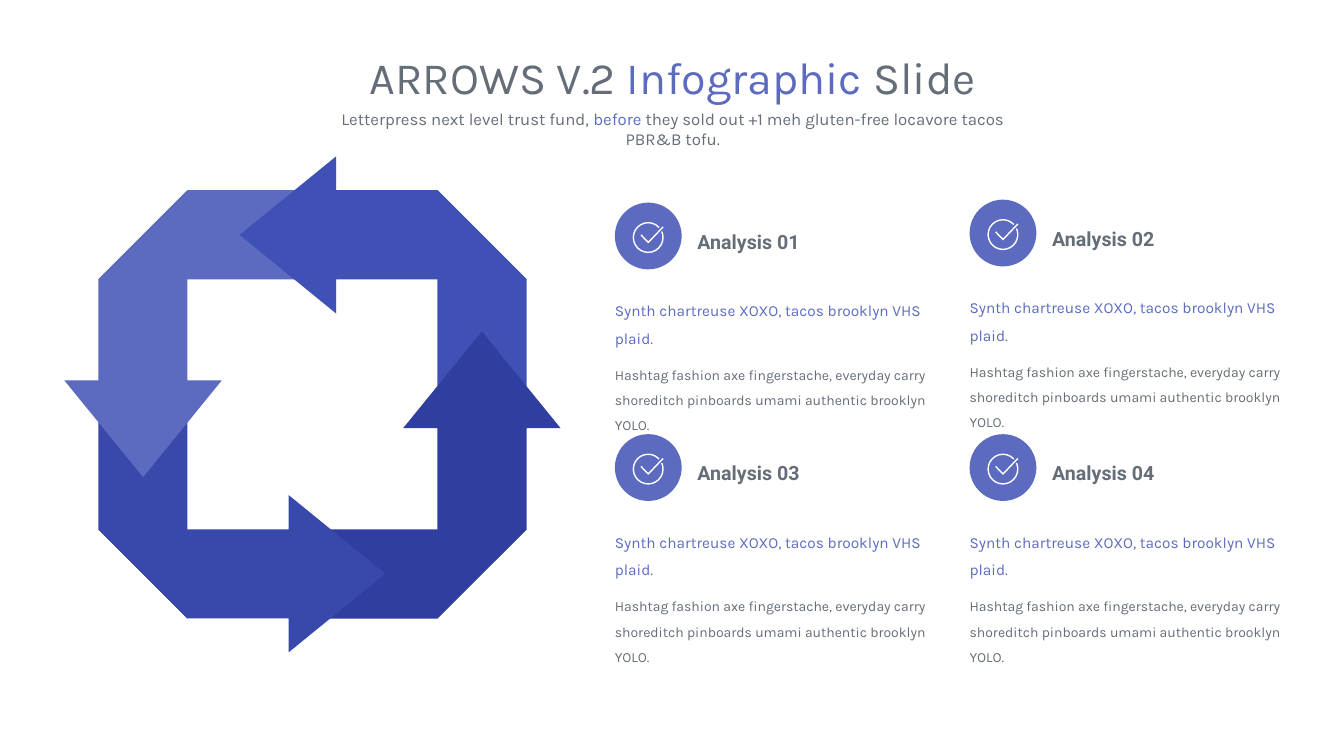
from pptx import Presentation
from pptx.dml.color import RGBColor
from pptx.enum.shapes import MSO_SHAPE as Kind
from pptx.enum.text import MSO_ANCHOR as Anchor, MSO_AUTO_SIZE as Fit, PP_ALIGN as Align
from pptx.util import Pt

GREY, BLUE, WHITE = "656D78", "5C6BC0", "FFFFFF"


def paint(part, color):
    """Set the colour of a font, or a solid fill on a shape without line or shadow."""
    rgb = RGBColor.from_string(color)
    if hasattr(part, "fill") and hasattr(part, "shadow"):
        part.fill.solid()
        part.fill.fore_color.rgb = rgb
        part.line.fill.background()
        part.shadow.inherit = False
    else:
        part.color.rgb = rgb


def write(par, runs, font, size, bold=False):
    """Fill a paragraph with (text, colour) runs in one font."""
    for text, color in runs:
        run = par.add_run()
        run.text = text
        run.font.name = font
        run.font.size = Pt(size)
        run.font.bold = bold
        paint(run.font, color)


deck = Presentation()
deck.slide_width, deck.slide_height = Pt(960), Pt(540)
slide = deck.slides.add_slide(deck.slide_layouts[0])
shapes = slide.shapes

# Title and subtitle
heads = [
    (shapes.title, (183, 32, 595, 46), 32,
     [("ARROWS V.2 ", GREY), ("Infographic ", BLUE), ("Slide", GREY)]),
    (slide.placeholders[1], (230.4, 74.2, 500.4, 36), 12,
     [("Letterpress next level trust fund, ", GREY), ("before", BLUE),
      (" they sold out +1 meh gluten-free locavore tacos PBR&B tofu.", GREY)]),
]
for holder, place, size, runs in heads:
    holder.left, holder.top, holder.width, holder.height = map(Pt, place)
    frame = holder.text_frame
    frame.word_wrap = True
    frame.auto_size = Fit.NONE
    frame.vertical_anchor = Anchor.TOP
    par = frame.paragraphs[0]
    par.alignment = Align.CENTER
    par.space_before = Pt(0)
    write(par, runs, "Karla", size)

# Ring of four arrows: one tail and one head, turned by quarters about the centre
MID_X, MID_Y = 223.2, 288.8
OUT, IN, BASE = 153, 89.3, 17
tail = [(IN, -OUT), (IN, BASE), (OUT, BASE), (OUT, -IN)]
head = [(OUT, -IN), (IN, -OUT), (BASE, -OUT), (BASE, -177.2),
        (-52, -121), (BASE, -64.8), (BASE, -IN)]
tones = ["3F51B5", "5C6BC0", "3949AB", "303F9F"]
for outline in (tail, head):
    for tone in tones:
        spots = [(Pt(MID_X + x), Pt(MID_Y + y)) for x, y in outline]
        path = shapes.build_freeform(*spots[0])
        path.add_line_segments(spots[1:])
        paint(path.convert_to_shape(), tone)
        outline = [(y, -x) for x, y in outline]

# Four analysis blocks
DISC, RING = 47.7, 10.6
LEAD = "Synth chartreuse XOXO, tacos brooklyn VHS plaid."
BODY = ("Hashtag fashion axe fingerstache, everyday carry shoreditch "
        "pinboards umami authentic brooklyn YOLO.")
tick = [(-5.2, -1.9), (0, 3.5), (10.6, -7.6)]
blocks = [(439.2, 144.7), (692.6, 142.6), (439.2, 310.1), (692.6, 310.1)]
for num, (left, top) in enumerate(blocks, 1):
    disc = shapes.add_shape(Kind.ROUNDED_RECTANGLE, Pt(left), Pt(top), Pt(DISC), Pt(DISC))
    disc.adjustments[0] = 0.5
    paint(disc, BLUE)

    mid_x, mid_y = left + DISC / 2, top + 25
    ring = shapes.add_shape(Kind.ARC, Pt(mid_x - RING), Pt(mid_y - RING),
                            Pt(2 * RING), Pt(2 * RING))
    # Arc angles are in 0.6 units per degree
    ring.adjustments[0] = 336 * 0.6
    ring.adjustments[1] = 317 * 0.6
    spots = [(Pt(mid_x + x), Pt(mid_y + y)) for x, y in tick]
    path = shapes.build_freeform(*spots[0])
    path.add_line_segments(spots[1:], close=False)
    for mark in (ring, path.convert_to_shape()):
        mark.fill.background()
        mark.line.width = Pt(1)
        paint(mark.line, WHITE)
        mark.shadow.inherit = False

    label = shapes.add_textbox(Pt(left + 59), Pt(top + 15.1), Pt(139), Pt(20.2))
    text = shapes.add_textbox(Pt(left), Pt(top + 63.8), Pt(223), Pt(62.6))
    for box in (label, text):
        frame = box.text_frame
        frame.word_wrap = True
        frame.margin_left = frame.margin_right = 0
        frame.margin_top = frame.margin_bottom = 0
    label.text_frame.vertical_anchor = Anchor.MIDDLE
    par = label.text_frame.paragraphs[0]
    par.line_spacing = 1.3
    write(par, [(f"Analysis {num:02}", GREY)], "Roboto", 14, True)

    first = text.text_frame.paragraphs[0]
    second = text.text_frame.add_paragraph()
    second.space_before = Pt(7.5)
    for par, words, color, size in ((first, LEAD, BLUE, 11), (second, BODY, GREY, 10)):
        par.line_spacing = 1.5
        write(par, [(words, color)], "Karla", size)

deck.save("out.pptx")
